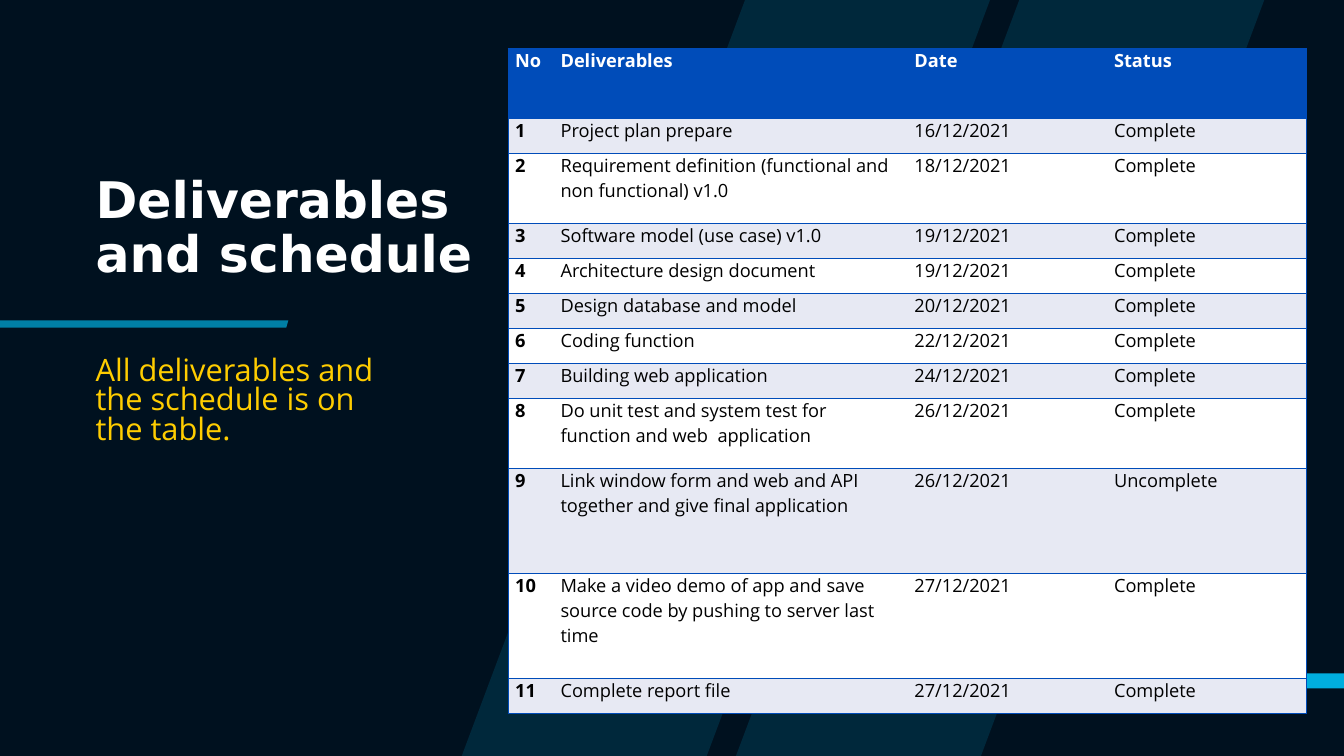
from lxml.etree import SubElement
from pptx import Presentation
from pptx.dml.color import RGBColor
from pptx.enum.text import MSO_ANCHOR as Anchor
from pptx.oxml import parse_xml
from pptx.oxml.ns import nsdecls, qn
from pptx.util import Inches, Pt

COLORS = {
    "background": "00111F", "accent": "00AEDE", "title": "FFFFFF", "body": "FFCD00",
    "header": "004CB9", "header_text": "FFFFFF", "cell_text": "000000",
    "odd_row": "E7E9F3", "even_row": "FFFFFF",
}
HEADINGS = ("No", "Deliverables", "Date", "Status")
COLUMN_WIDTHS = (0.45, 3.51, 1.98, 1.98)
HEADER_LINES = 2
DELIVERABLES = [
    ("Project plan prepare", "16/12/2021", "Complete", 1),
    ("Requirement definition (functional and non functional) v1.0", "18/12/2021", "Complete", 2),
    ("Software model (use case) v1.0", "19/12/2021", "Complete", 1),
    ("Architecture design document", "19/12/2021", "Complete", 1),
    ("Design database and model", "20/12/2021", "Complete", 1),
    ("Coding function", "22/12/2021", "Complete", 1),
    ("Building web application", "24/12/2021", "Complete", 1),
    ("Do unit test and system test for function and web  application", "26/12/2021", "Complete", 2),
    ("Link window form and web and API together and give final application",
     "26/12/2021", "Uncomplete", 3),
    ("Make a video demo of app and save source code by pushing to server last time",
     "27/12/2021", "Complete", 3),
    ("Complete report file", "27/12/2021", "Complete", 1),
]


def rgb(name):
    """Return the named colour."""
    return RGBColor.from_string(COLORS[name])


def write_text(frame, text, *, size, color, font="Open Sans", bold=False, spacing=None):
    """Write one formatted paragraph into a text frame."""
    frame.word_wrap = True
    paragraph = frame.paragraphs[0]
    if spacing:
        paragraph.line_spacing = spacing
    run = paragraph.add_run()
    run.text = text
    run.font.name = font
    run.font.size = Pt(size)
    run.font.bold = bold
    run.font.color.rgb = rgb(color)


def add_polygons(slide, outlines, opacity=100):
    """Draw closed outlines, in inches, as one accent shape."""
    contours = [[(Inches(x), Inches(y)) for x, y in outline] for outline in outlines]
    builder = slide.shapes.build_freeform(*contours[0][0])
    for index, (start, *others) in enumerate(contours):
        if index:
            builder.move_to(*start)
        builder.add_line_segments(others, close=True)
    shape = builder.convert_to_shape()
    shape.shadow.inherit = False
    shape.fill.solid()
    shape.fill.fore_color.rgb = rgb("accent")
    shape.line.fill.background()
    if opacity < 100:
        color = shape.fill._xPr.find(qn("a:solidFill"))[0]
        SubElement(color, qn("a:alpha")).set("val", str(opacity * 1000))


def add_backdrop(slide, width, height):
    """Draw the slanted stripes and the two accent bars."""
    stripe, slant = 2.43, 2.81
    stripes = [
        [(left + slant, 0), (left, height), (left + stripe, height), (left + stripe + slant, 0)]
        for left in (4.58, 7.3)
    ]
    add_polygons(slide, stripes, opacity=15)
    add_polygons(slide, [[(width, 6.68), (width, 6.83), (12.46, 6.83), (12.36, 6.68)]])
    add_polygons(slide, [[(0, 3.18), (0, 3.25), (2.84, 3.25), (2.86, 3.18)]], opacity=70)


def add_text_box(slide, left, top, width, height, text, anchor=Anchor.TOP, **text_format):
    """Add a text box holding one formatted paragraph."""
    frame = slide.shapes.add_textbox(*map(Inches, (left, top, width, height))).text_frame
    frame.vertical_anchor = anchor
    write_text(frame, text, **text_format)


def add_intro(slide, left, top):
    """Add the title and the remark below it."""
    add_text_box(slide, left, top, 4.2, 1.67, "Deliverables and schedule", Anchor.MIDDLE,
                 size=36, color="title", font="DejaVu Sans", bold=True, spacing=0.9)
    add_text_box(slide, left, top + 2.06, 3.09, 2.36,
                 "All deliverables and the schedule is on the table.",
                 size=22, color="body", spacing=0.8)


def set_borders(cell, visible):
    """Draw the visible sides of a cell and clear the others."""
    properties = cell._tc.get_or_add_tcPr()
    for index, side in enumerate("LRTB"):
        paint = "<a:noFill/>"
        if side in visible:
            paint = f'<a:solidFill><a:srgbClr val="{COLORS["header"]}"/></a:solidFill>'
        line = parse_xml(f'<a:ln{side} {nsdecls("a")} w="{Pt(1)}">{paint}</a:ln{side}>')
        properties.insert(index, line)


def add_schedule(slide, left, top, width, height):
    """Add the table of deliverables, with row heights in whole line units."""
    rows = [HEADINGS] + [(str(number), *item[:3]) for number, item in enumerate(DELIVERABLES, 1)]
    lines = [HEADER_LINES] + [item[3] for item in DELIVERABLES]
    last = len(HEADINGS) - 1
    box = map(Inches, (left, top, width, height))
    table = slide.shapes.add_table(len(rows), len(HEADINGS), *box).table
    table.horz_banding = False
    for column, column_width in zip(table.columns, COLUMN_WIDTHS):
        column.width = Inches(column_width)
    for r, values in enumerate(rows):
        table.rows[r].height = Inches(height * lines[r] / sum(lines))
        fill = "header" if r == 0 else "odd_row" if r % 2 else "even_row"
        for c, value in enumerate(values):
            cell = table.cell(r, c)
            cell.margin_left = cell.margin_right = Inches(0.07)
            cell.margin_top = cell.margin_bottom = 0
            cell.fill.solid()
            cell.fill.fore_color.rgb = rgb(fill)
            set_borders(cell, "TB" + "L" * (c == 0) + "R" * (c == last))
            write_text(cell.text_frame, value, size=13, bold=r == 0 or c == 0,
                       color="cell_text" if r else "header_text")


def main():
    """Build and save the slide."""
    width, height = 13.33, 7.5
    presentation = Presentation()
    presentation.slide_width = Inches(width)
    presentation.slide_height = Inches(height)
    slide = presentation.slides.add_slide(presentation.slide_layouts[6])
    slide.background.fill.solid()
    slide.background.fill.fore_color.rgb = rgb("background")
    add_backdrop(slide, width, height)
    add_intro(slide, 0.85, 1.44)
    add_schedule(slide, 5.04, 0.48, 7.92, 6.6)
    presentation.save("out.pptx")


if __name__ == "__main__":
    main()
